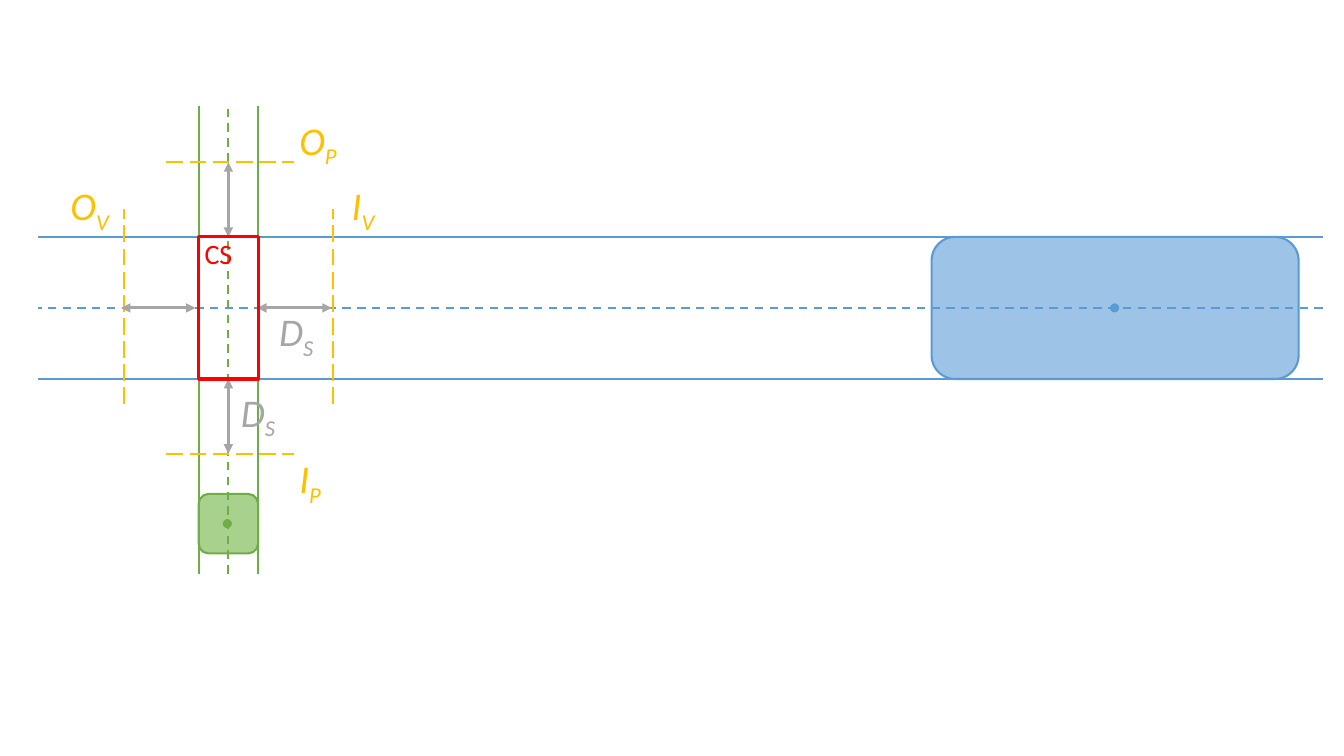
"""Draw a crossing of a vehicle lane and a pedestrian lane with its conflict section."""
from pptx import Presentation
from pptx.dml.color import RGBColor
from pptx.enum.dml import MSO_LINE
from pptx.enum.shapes import MSO_CONNECTOR, MSO_SHAPE
from pptx.enum.text import MSO_AUTO_SIZE
from pptx.oxml.ns import qn
from pptx.util import Inches, Pt
from lxml import etree

BLUE, LIGHT_BLUE = RGBColor(0x5B, 0x9B, 0xD5), RGBColor(0x9D, 0xC3, 0xE6)
GREEN, LIGHT_GREEN = RGBColor(0x70, 0xAD, 0x47), RGBColor(0xA9, 0xD1, 0x8E)
AMBER, GREY = RGBColor(0xFF, 0xC0, 0x00), RGBColor(0xA6, 0xA6, 0xA6)
RED = RGBColor(0xFF, 0x00, 0x00)

prs = Presentation()
prs.slide_width, prs.slide_height = Inches(13.33), Inches(7.5)
s = prs.slides.add_slide(prs.slide_layouts[6])

LEFT, WALK, TOP, ROAD = 1.97, 0.59, 2.35, 1.41
RIGHT, BOTTOM = LEFT + WALK, TOP + ROAD
MID_X, MID_Y = LEFT + WALK / 2, TOP + ROAD / 2
GAP, DOT = 0.74, 0.09
ROAD_START, ROAD_END = 0.38, 13.12
WALK_START, WALK_END = 1.05, 5.69


def add_shape(kind, x, y, w, h, fill=None, line=None, width=1.5):
    sp = s.shapes.add_shape(kind, *map(Inches, (x, y, w, h)))
    sp.shadow.inherit = False
    if fill is None:
        sp.fill.background()
    else:
        sp.fill.solid()
        sp.fill.fore_color.rgb = fill
    if line is None:
        sp.line.fill.background()
    else:
        sp.line.color.rgb = line
        sp.line.width = Pt(width)


def add_line(x1, y1, x2, y2, color, dash=None, arrows=False):
    cx = s.shapes.add_connector(MSO_CONNECTOR.STRAIGHT, *map(Inches, (x1, y1, x2, y2)))
    cx.line.color.rgb = color
    cx.line.width = Pt(2.25 if arrows else 1.5)
    if dash is not None:
        cx.line.dash_style = dash
    if arrows:
        for end in ("a:headEnd", "a:tailEnd"):
            etree.SubElement(cx.line._ln, qn(end), type="triangle")
    etree.SubElement(cx._element.spPr, qn("a:effectLst"))


add_shape(MSO_SHAPE.ROUNDED_RECTANGLE, 9.24, TOP, 3.64, ROAD, LIGHT_BLUE, BLUE)
add_shape(MSO_SHAPE.ROUNDED_RECTANGLE, LEFT, 4.9, WALK, WALK, LIGHT_GREEN, GREEN)

for x, dash in ((LEFT, None), (RIGHT, None), (MID_X, MSO_LINE.DASH)):
    add_line(x, WALK_END, x, WALK_START, GREEN, dash)
for y, dash in ((BOTTOM, None), (TOP, None), (MID_Y, MSO_LINE.DASH)):
    add_line(ROAD_END, y, ROAD_START, y, BLUE, dash)

for y in (BOTTOM + GAP, TOP - GAP):
    add_line(1.65, y, 2.92, y, AMBER, MSO_LINE.LONG_DASH)
for x in (RIGHT + GAP, LEFT - GAP):
    add_line(x, 4.01, x, 2.07, AMBER, MSO_LINE.LONG_DASH)

for y in (BOTTOM, TOP - GAP):
    add_line(MID_X, y, MID_X, y + GAP, GREY, arrows=True)
for x in (RIGHT - 0.01, LEFT - GAP - 0.03):
    add_line(x, MID_Y, x + GAP, MID_Y, GREY, arrows=True)

add_shape(MSO_SHAPE.OVAL, 11.01, MID_Y - DOT / 2, DOT, DOT, BLUE)
add_shape(MSO_SHAPE.OVAL, 2.21, 5.15, DOT, DOT, GREEN)
add_shape(MSO_SHAPE.RECTANGLE, LEFT, TOP, WALK, ROAD, line=RED, width=2.25)

labels = (
    ("I", "P", 2.87, 4.46, 0.44, AMBER),
    ("O", "P", 2.87, 1.1, 0.6, AMBER),
    ("I", "V", 3.39, 1.75, 0.45, AMBER),
    ("O", "V", 0.6, 1.75, 0.61, AMBER),
    ("D", "S", 2.67, 3, 0.56, GREY),
    ("D", "S", 2.29, 3.8, 0.56, GREY),
    ("CS", "", 1.93, 2.3, 0.48, RED),
)
for symbol, index, x, y, w, color in labels:
    tb = s.shapes.add_textbox(*map(Inches, (x, y, w, 0.57 if index else 0.44)))
    tf = tb.text_frame
    tf.word_wrap = False
    tf.auto_size = MSO_AUTO_SIZE.SHAPE_TO_FIT_TEXT
    font_format = {"name": "Calibri", "size": Pt(28 if index else 20), "italic": bool(index)}
    for text, baseline in ((symbol, None), (index, "-25000")):
        if not text:
            continue
        r = tf.paragraphs[0].add_run()
        r.text = text
        for key, value in font_format.items():
            setattr(r.font, key, value)
        r.font.color.rgb = color
        if baseline:
            r.font._element.set("baseline", baseline)

prs.save("out.pptx")
